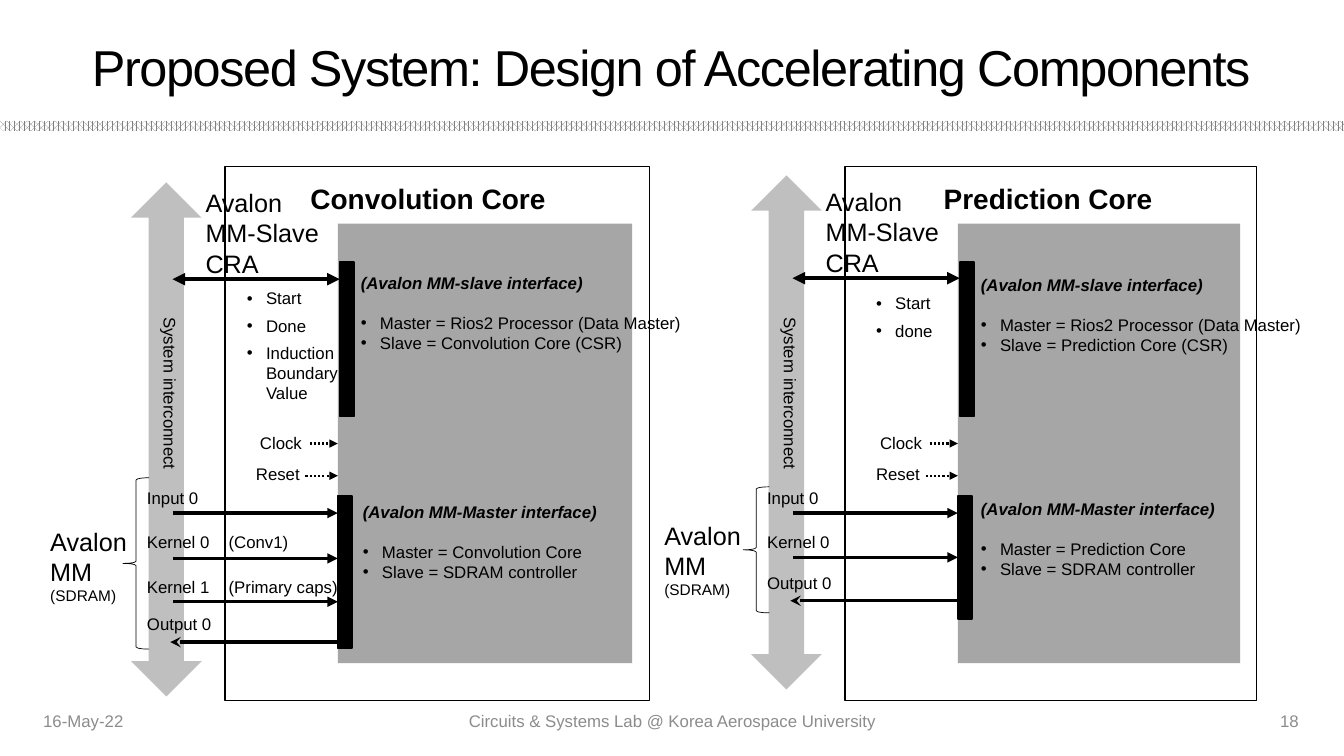
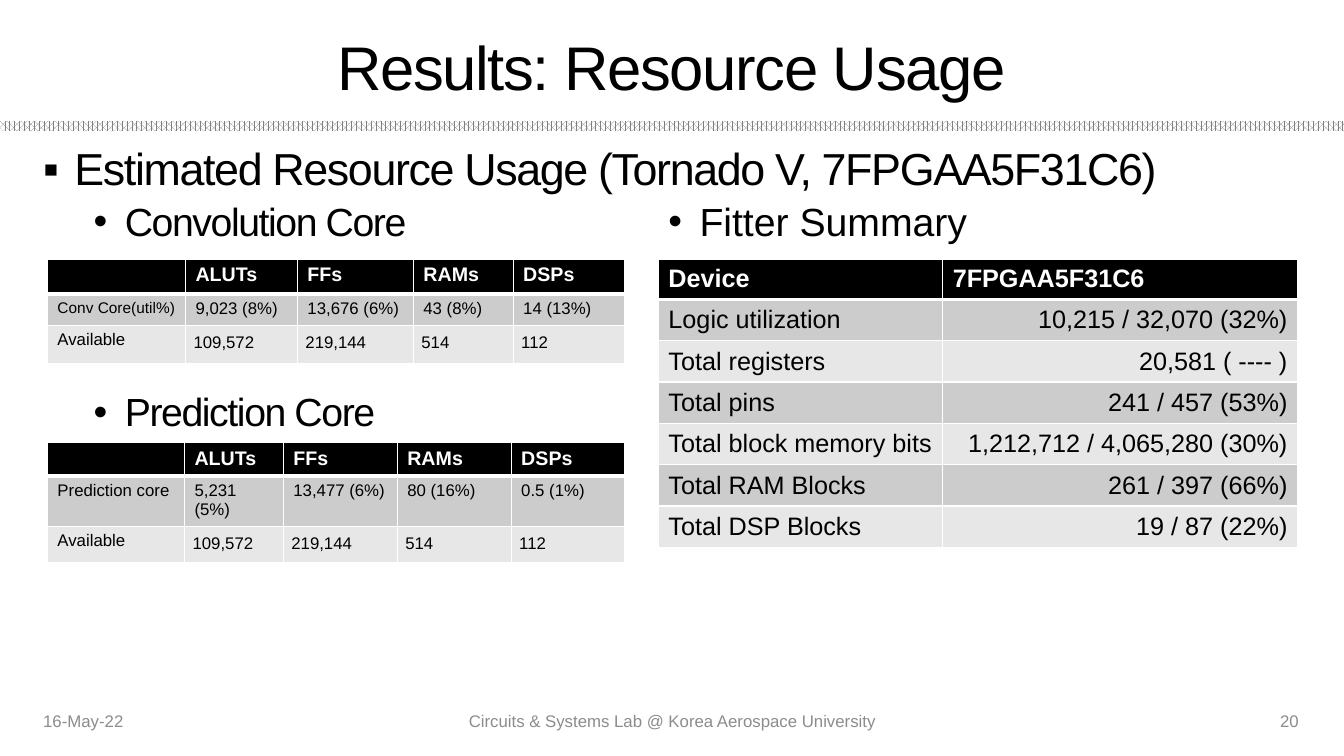
from dataclasses import dataclass

from lxml.etree import SubElement
from pptx import Presentation
from pptx.dml.color import RGBColor
from pptx.enum.dml import MSO_LINE_DASH_STYLE as Dash, MSO_PATTERN_TYPE as Pattern
from pptx.enum.shapes import MSO_CONNECTOR as Link, MSO_SHAPE as Preset
from pptx.enum.text import MSO_ANCHOR as Anchor, PP_ALIGN as Align
from pptx.oxml.ns import qn
from pptx.util import Inches, Pt

BLACK = RGBColor(0x00, 0x00, 0x00)
WHITE = RGBColor(0xFF, 0xFF, 0xFF)
BAND_GREY = RGBColor(0x80, 0x80, 0x80)
FOOTER_GREY = RGBColor(0x8C, 0x8C, 0x8C)
PANEL_GREY = RGBColor(0xA6, 0xA6, 0xA6)
BUS_GREY = RGBColor(0xBF, 0xBF, 0xBF)
ROW_FILLS = (RGBColor(0xCC, 0xCC, 0xCC), RGBColor(0xE7, 0xE7, 0xE7))

FONT = "Arial"
LEFT_SITE = 1
CORE_PITCH = 6.15
BULLET = {"bullet": "•", "indent": 0.19}
TIGHT = {"tracking": -100}
OUTLINE = {"bullet": "•", "indent": 0.31, "line_spacing": 0.9, **TIGHT}
SUBHEAD = {**OUTLINE, "margin": 0.81, "size": 28}


def inches(*lengths):
    return [Inches(length) for length in lengths]


def set_all(target, values):
    for name, value in values.items():
        setattr(target, name, value)


def pick(style, *names):
    return {name: style[name] for name in names if name in style}


class Deck:
    """Holds the shared style and the slide being filled."""

    def __init__(self):
        self.presentation = Presentation()
        set_all(self.presentation, {"slide_width": Inches(13.33), "slide_height": Inches(7.5)})
        self.slide = None

    def new_slide(self, title, title_size, number):
        self.slide = self.presentation.slides.add_slide(self.presentation.slide_layouts[6])
        band = self.shape(Preset.RECTANGLE, (0, 1.2, 13.33, 0.1))
        band.fill.patterned()
        band.fill.pattern = Pattern.PERCENT_70
        band.fill.fore_color.rgb = BAND_GREY
        band.fill.back_color.rgb = WHITE
        self.text((0.33, 0.22, 12.66, 0.87), [title], anchor=Anchor.MIDDLE,
                  size=title_size, alignment=Align.CENTER, **TIGHT)
        footers = (
            (0.33, 3, "16-May-22", Align.LEFT),
            (4.42, 4.5, "Circuits & Systems Lab @ Korea Aerospace University", Align.CENTER),
            (9.94, 3.04, number, Align.RIGHT),
        )
        for left, width, words, alignment in footers:
            self.text((left, 6.95, width, 0.4), [words], anchor=Anchor.MIDDLE,
                      alignment=alignment, color=FOOTER_GREY)

    def shape(self, preset, box, fill=None, line_width=None):
        shape = self.slide.shapes.add_shape(preset, *inches(*box))
        shape.shadow.inherit = False
        if fill is None:
            shape.fill.background()
        else:
            shape.fill.solid()
            shape.fill.fore_color.rgb = fill
        if line_width is None:
            shape.line.fill.background()
        else:
            shape.line.fill.solid()
            shape.line.color.rgb = BLACK
            shape.line.width = Pt(line_width)
        return shape

    def text(self, box, paragraphs, anchor=Anchor.TOP, vertical=False, **style):
        """Add a text box; a paragraph is a string or a (string, own style) pair."""
        frame = self.slide.shapes.add_textbox(*inches(*box)).text_frame
        set_all(frame, {"word_wrap": True, "vertical_anchor": anchor})
        if vertical:
            frame._txBody.bodyPr.set("vert", "eaVert")
        for index, item in enumerate(paragraphs):
            words, own = (item, {}) if isinstance(item, str) else item
            paragraph = frame.add_paragraph() if index else frame.paragraphs[0]
            self.set_paragraph(paragraph, words, {**style, **own})

    def set_paragraph(self, paragraph, words, style):
        properties = paragraph._p.get_or_add_pPr()
        if "bullet" in style:
            hang = Inches(style["indent"])
            properties.set("marL", str(Inches(style.get("margin", style["indent"]))))
            properties.set("indent", str(-hang))
            SubElement(properties, qn("a:buFont"), typeface=FONT)
            SubElement(properties, qn("a:buChar"), char=style["bullet"])
        if "tab" in style:
            stops = SubElement(properties, qn("a:tabLst"))
            SubElement(stops, qn("a:tab"), pos=str(Inches(style["tab"])), algn="l")
        set_all(paragraph, pick(style, "alignment", "line_spacing", "space_before"))
        size = Pt(style.get("size", 12))
        if not words:
            SubElement(paragraph._p, qn("a:endParaRPr"), sz=str(int(size.pt * 100)))
            return
        run = paragraph.add_run()
        run.text = words
        set_all(run.font, {"name": FONT, "size": size, **pick(style, "bold", "italic")})
        run.font.color.rgb = style.get("color", BLACK)
        if "tracking" in style:
            run._r.get_or_add_rPr().set("spc", str(style["tracking"]))

    def line(self, start, end, width, head=None, tail=None, dash=None, end_on=None):
        """Draw a line; end_on is a rectangle whose left middle it is joined to."""
        link = self.slide.shapes.add_connector(Link.STRAIGHT, *inches(*start, *end))
        link.line.color.rgb = BLACK
        link.line.width = Pt(width)
        if dash:
            link.line.dash_style = dash
        for tag, kind in (("a:headEnd", head), ("a:tailEnd", tail)):
            if kind:
                SubElement(link.line._get_or_add_ln(), qn(tag), type=kind)
        SubElement(link._element.spPr, qn("a:effectLst"))
        if end_on is not None:
            link.end_connect(end_on, LEFT_SITE)

    def table(self, left, top, widths, heights, rows, head_size, size,
              anchor=Anchor.TOP, value_align=Align.LEFT):
        box = inches(left, top, sum(widths), sum(heights))
        table = self.slide.shapes.add_table(len(rows), len(widths), *box).table
        set_all(table, {"first_row": False, "horz_banding": False})
        for column, width in zip(table.columns, widths):
            column.width = Inches(width)
        for r, (height, values) in enumerate(zip(heights, rows)):
            table.rows[r].height = Inches(height)
            for c, words in enumerate(values):
                cell = table.cell(r, c)
                cell.vertical_anchor = anchor
                self.borders(cell, top=3 if r == 1 else 1, bottom=1 if r else 3)
                cell.fill.solid()
                cell.fill.fore_color.rgb = ROW_FILLS[(r - 1) % 2] if r else BLACK
                style = {"size": size, "alignment": value_align if c else Align.LEFT}
                if r == 0:
                    style = {"size": head_size, "bold": True, "color": WHITE}
                self.set_paragraph(cell.text_frame.paragraphs[0], words, style)
        return table

    def borders(self, cell, top, bottom):
        sides = {"a:lnL": 1, "a:lnR": 1, "a:lnT": top, "a:lnB": bottom}
        for tag, width in sides.items():
            edge = SubElement(cell._tc.get_or_add_tcPr(), qn(tag), w=str(Pt(width)))
            SubElement(SubElement(edge, qn("a:solidFill")), qn("a:srgbClr"), val=str(WHITE))


@dataclass
class Core:
    name: str
    left: float
    frame_width: float
    panel_width: float
    bus_top: float
    cra_top: float
    cra_line: float
    controls: list
    controls_at: tuple
    signals: list  # label, label top, line height
    master_bar: float
    master_at: tuple
    slave_at: tuple
    memory_at: tuple
    brace: tuple  # top, height


CORES = (
    Core("Convolution Core", 0, 4.21, 2.92, 1.81, 1.81, 2.77,
         ["Start", "Done", "Induction Boundary Value"], (2.35, 2.81),
         [("Input 0", 4.79, 5.09), ("Kernel 0\t(Conv1)", 5.23, 5.54),
          ("Kernel 1\t(Primary caps)", 5.67, 5.97), ("Output 0", 6.04, 6.37)],
         1.51, (3.5, 4.93), (3.48, 2.66), (0.4, 5.17), (4.74, 1.7)),
    Core("Prediction Core", CORE_PITCH, 4.08, 2.8, 1.74, 1.8, 2.76,
         ["Start", "done"], (8.59, 2.86),
         [("Input 0", 4.79, 5.09), ("Kernel 0", 5.23, 5.53), ("Output 0", 5.63, 5.96)],
         1.22, (9.63, 4.9), (9.63, 2.68), (6.49, 5.11), (4.83, 1.25)),
)


def draw_interface(deck, at, heading, master, slave):
    deck.text((*at, 3.45, 0.91), [
        (heading, {"bold": True, "italic": True}),
        (f"Master = {master}", {**BULLET, "space_before": Pt(14)}),
        (f"Slave = {slave}", BULLET),
    ])


def draw_core(deck, core):
    x = core.left
    deck.shape(Preset.UP_DOWN_ARROW, (x + 1.3, core.bus_top, 0.7, 5.1), BUS_GREY)
    panel = deck.shape(Preset.RECTANGLE, (x + 3.35, 2.22, core.panel_width, 4.36), PANEL_GREY)
    deck.shape(Preset.RECTANGLE, (x + 2.23, 1.65, core.frame_width, 5.3), line_width=1)
    deck.shape(Preset.RECTANGLE, (x + 3.37, 2.6, 0.14, 1.53), BLACK, 1)
    master_bar = deck.shape(Preset.RECTANGLE, (x + 3.35, 4.92, 0.14, core.master_bar), BLACK, 1)
    deck.text((x + 2.89, 1.75, 2.71, 0.44), [core.name], size=20, bold=True,
              alignment=Align.CENTER)

    for label, left, top, y, target in (("Clock", 2.48, 4.24, 4.4, panel),
                                        ("Reset", 2.44, 4.55, 4.72, None)):
        deck.text((x + left, top, 0.72, 0.3), [label])
        deck.line((x + left + 0.59, y), (x + 3.35, y), 1.5, tail="triangle",
                  dash=Dash.ROUND_DOT, end_on=target)

    bar_middle = 4.92 + core.master_bar / 2
    for label, top, y in core.signals:
        deck.text((x + 1.36, top, 2.3, 0.3), [label], tab=0.81)
        if label.startswith("Output"):
            deck.line((x + 1.69, y), (x + 3.34, y), 2.5, head="stealth")
        else:
            target = master_bar if abs(y - bar_middle) < 0.01 else None
            deck.line((x + 1.72, y), (x + 3.35, y), 2.5, tail="triangle", end_on=target)

    deck.line((x + 3.37, core.cra_line), (x + 1.71, core.cra_line), 3,
              head="triangle", tail="triangle")
    deck.text((x + 1.94, core.cra_top, 1.37, 1.01), ["Avalon MM-Slave", "CRA"], size=18)
    first, *others = core.controls
    deck.text((*core.controls_at, 1.12, 1.2),
              [first, *((word, {"space_before": Pt(5)}) for word in others)], **BULLET)
    draw_interface(deck, core.slave_at, "(Avalon MM-slave interface)",
                   "Rios2 Processor (Data Master)", f"{core.name} (CSR)")
    draw_interface(deck, core.master_at, "(Avalon MM-Master interface)",
                   core.name, "SDRAM controller")
    brace_top, brace_height = core.brace
    deck.shape(Preset.LEFT_BRACE, (x + 1.22, brace_top, 0.26, brace_height), line_width=0.5)
    deck.text((*core.memory_at, 1.07, 0.89), ["Avalon", "MM", ("(SDRAM)", {"size": 11})], size=18)
    deck.text((x + 1.44, 3.05, 0.4, 1.8), ["System interconnect"], vertical=True)


def draw_results(deck):
    device = "7FPGAA5F31C6"
    deck.text((0.33, 1.41, 12.63, 1.1), [
        (f"Estimated Resource Usage (Tornado V, {device})", {"bullet": "▪", "size": 32}),
        ("Convolution Core", {**SUBHEAD, "space_before": Pt(5)}),
    ], **OUTLINE)
    deck.text((0.33, 3.85, 5.8, 0.5), ["Prediction Core"], **SUBHEAD)
    deck.text((6.53, 1.91, 6.34, 0.6), ["Fitter Summary"], size=28, bullet="•", indent=0.31)

    head = ["", "ALUTs", "FFs", "RAMs", "DSPs"]
    available = ["Available", "109,572", "219,144", "514", "112"]
    usages = (
        (2.57, (1.37, 1.11, 1.15, 0.99, 1.11), (0.35, 0.31, 0.38), 11,
         ["Conv Core(util%)", "9,023 (8%)", "13,676 (6%)", "43 (8%)", "14 (13%)"]),
        (4.39, (1.36, 0.98, 1.13, 1.13, 1.13), (0.32, 0.48, 0.35), 12,
         ["Prediction core", "5,231 (5%)", "13,477 (6%)", "80 (16%)", "0.5 (1%)"]),
    )
    inset = dict.fromkeys(
        ("margin_left", "margin_top", "margin_right", "margin_bottom"), Inches(0.08))
    for top, widths, heights, label_size, used in usages:
        usage = deck.table(0.47, top, widths, heights, [head, used, available], 14, 12)
        usage.cell(1, 0).text_frame.paragraphs[0].runs[0].font.size = Pt(label_size)
        for column in range(1, len(head)):
            set_all(usage.cell(2, column), inset)

    summary = [
        ["Device", device],
        ["Logic utilization", "10,215 / 32,070 (32%)"],
        ["Total registers", "20,581 ( ---- )"],
        ["Total pins", "241 / 457 (53%)"],
        ["Total block memory bits", "1,212,712 / 4,065,280 (30%)"],
        ["Total RAM Blocks", "261 / 397 (66%)"],
        ["Total DSP Blocks", "19 / 87 (22%)"],
    ]
    deck.table(6.53, 2.57, (2.82, 3.52), [0.37] + [0.41] * 6, summary, 18, 18,
               anchor=Anchor.MIDDLE, value_align=Align.RIGHT)


def main():
    deck = Deck()
    deck.new_slide("Proposed System: Design of Accelerating Components", 36, "18")
    for core in CORES:
        draw_core(deck, core)
    deck.new_slide("Results: Resource Usage", 44, "20")
    draw_results(deck)
    deck.presentation.save("out.pptx")


if __name__ == "__main__":
    main()
